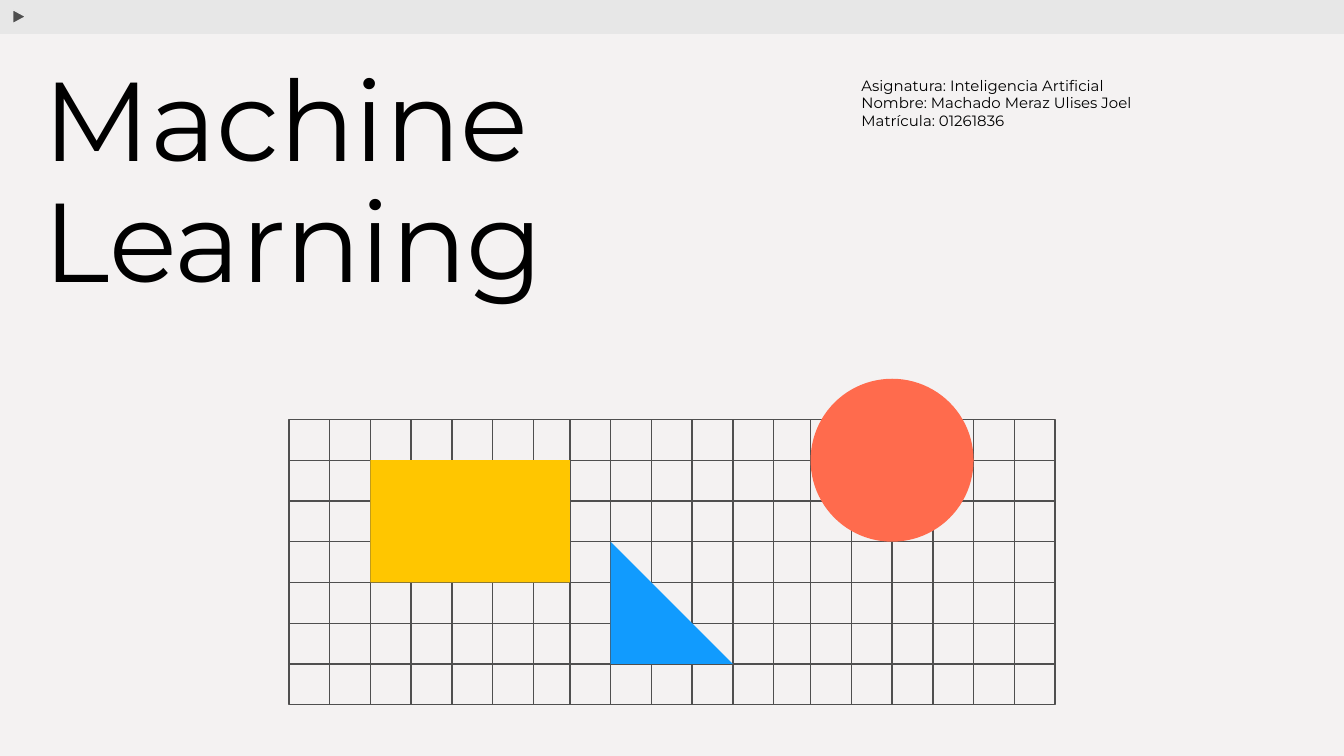
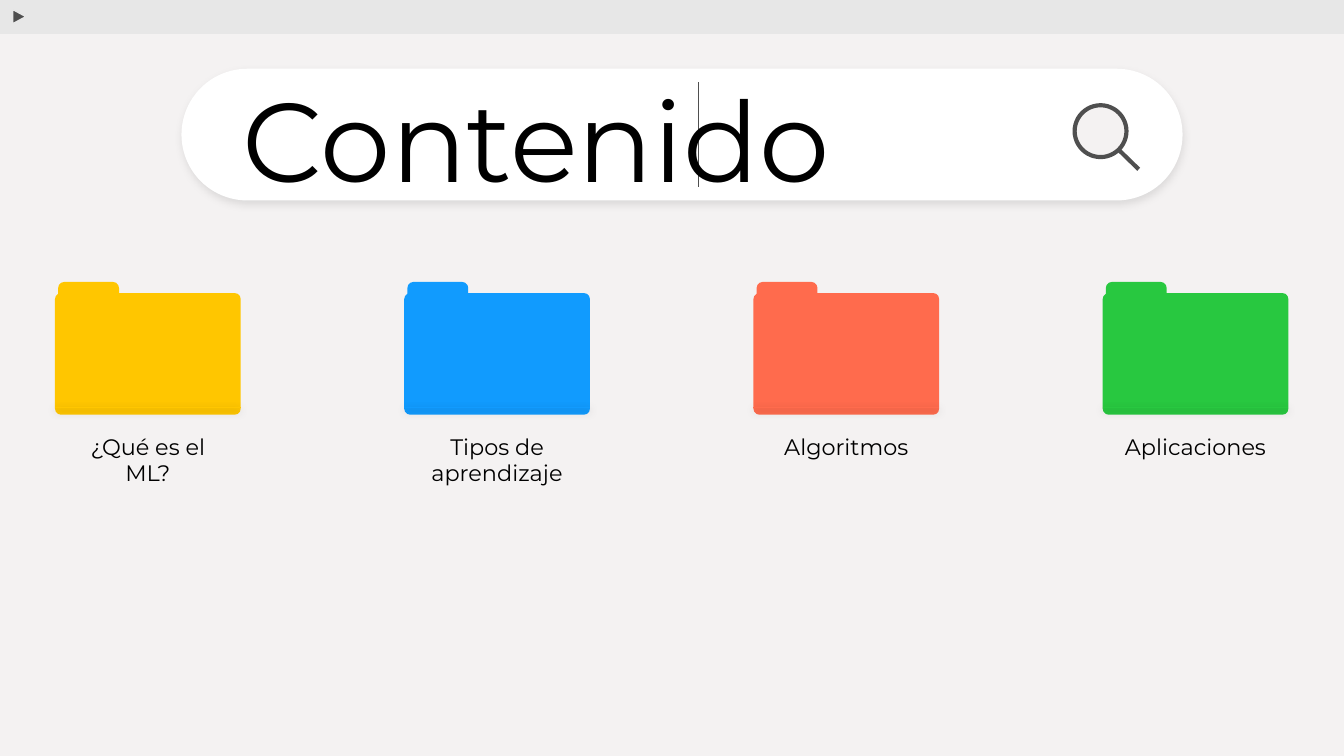
from dataclasses import dataclass
from typing import NamedTuple, Optional, Union

from lxml.etree import SubElement
from pptx import Presentation
from pptx.dml.color import RGBColor
from pptx.enum.shapes import MSO_CONNECTOR, MSO_SHAPE
from pptx.enum.text import MSO_ANCHOR, MSO_AUTO_SIZE, PP_ALIGN
from pptx.oxml.ns import qn
from pptx.shapes.autoshape import Shape
from pptx.shapes.base import BaseShape
from pptx.shapes.connector import Connector
from pptx.shapes.shapetree import GroupShapes, SlideShapes
from pptx.slide import Slide
from pptx.text.text import TextFrame
from pptx.util import Cm, Length, Pt

Canvas = Union[SlideShapes, GroupShapes]


@dataclass(frozen=True)
class Theme:
    font: str = "Montserrat"
    background: RGBColor = RGBColor(0xF4, 0xF2, 0xF2)
    band: RGBColor = RGBColor(0xE7, 0xE7, 0xE7)
    outline: RGBColor = RGBColor(0x4F, 0x4F, 0x4F)
    text: RGBColor = RGBColor(0, 0, 0)
    white: RGBColor = RGBColor(0xFF, 0xFF, 0xFF)
    yellow: RGBColor = RGBColor(0xFF, 0xC6, 0x00)
    blue: RGBColor = RGBColor(0x11, 0x9B, 0xFE)
    coral: RGBColor = RGBColor(0xFF, 0x6B, 0x4D)
    green: RGBColor = RGBColor(0x28, 0xC8, 0x40)
    title_size: Length = Pt(60)
    label_size: Length = Pt(12)
    details_size: Length = Pt(8)
    thin: Length = Pt(0.75)
    thick: Length = Pt(2.25)


THEME = Theme()
SLIDE_WIDTH, SLIDE_HEIGHT = 25.4, 14.29


class Box(NamedTuple):
    """Left, top, width and height in centimetres."""
    left: float
    top: float
    width: float
    height: float

    def lengths(self) -> tuple[Length, ...]:
        return tuple(Cm(value) for value in self)


class GridFigure(NamedTuple):
    """A figure that spans grid lines, counted from the top left corner."""
    kind: MSO_SHAPE
    color: RGBColor
    first_column: int
    first_row: int
    last_column: int
    last_row: int


@dataclass(frozen=True)
class Folder:
    label: str
    color: RGBColor
    label_height: float = 1.02


STEP = 0.77
GRID_TOP = 7.93
# The gap between two blocks of columns is narrower than a full step.
COLUMN_BLOCKS = ((5.46, 7), (10.77, 6), (15.32, 7))
COLUMNS = [start + STEP * i for start, count in COLUMN_BLOCKS for i in range(count)]
ROWS = [GRID_TOP + STEP * i for i in range(8)]

GRID_FIGURES = (
    GridFigure(MSO_SHAPE.RECTANGLE, THEME.yellow, 2, 1, 7, 4),
    GridFigure(MSO_SHAPE.OVAL, THEME.coral, 13, -1, 17, 3),
    GridFigure(MSO_SHAPE.RIGHT_TRIANGLE, THEME.blue, 8, 3, 11, 6),
)

FOLDERS = (
    Folder("¿Qué es el ML?", THEME.yellow),
    Folder("Tipos de aprendizaje", THEME.blue, 1.55),
    Folder("Algoritmos", THEME.coral),
    Folder("Aplicaciones", THEME.green),
)
FOLDER_LEFT, FOLDER_PITCH, FOLDER_WIDTH = 1.04, 6.6, 3.51


def draw_figure(canvas: Canvas, kind: MSO_SHAPE, box: Box,
                fill: Optional[RGBColor] = None, line: Optional[RGBColor] = None,
                weight: Length = THEME.thin) -> Shape:
    figure = canvas.add_shape(kind, *box.lengths())
    figure.shadow.inherit = False
    if fill is None:
        figure.fill.background()
    else:
        figure.fill.solid()
        figure.fill.fore_color.rgb = fill
    if line is None:
        figure.line.fill.background()
    else:
        figure.line.color.rgb = line
        figure.line.width = weight
    return figure


def draw_line(canvas: Canvas, start: tuple[float, float], end: tuple[float, float],
              color: RGBColor = THEME.outline, weight: Length = THEME.thin) -> Connector:
    ends = (Cm(value) for value in start + end)
    line = canvas.add_connector(MSO_CONNECTOR.STRAIGHT, *ends)
    line.line.color.rgb = color
    line.line.width = weight
    SubElement(line.element.spPr, qn("a:effectLst"))
    return line


def cast_shadow(target: BaseShape, opacity: int) -> None:
    """Add a soft black shadow below; opacity is in percent."""
    effects = target.element.spPr.find(qn("a:effectLst"))
    shadow = SubElement(effects, qn("a:outerShdw"), blurRad=str(Pt(4.5)),
                        dist=str(Pt(1.5)), dir="5400000", algn="bl", rotWithShape="0")
    black = SubElement(shadow, qn("a:srgbClr"), val="000000")
    SubElement(black, qn("a:alpha"), val=str(opacity * 1000))


def write_text(frame: TextFrame, lines: tuple[str, ...], size: Length,
               align: PP_ALIGN = PP_ALIGN.LEFT, spacing: float = 1.0,
               auto_size: MSO_AUTO_SIZE = MSO_AUTO_SIZE.NONE) -> None:
    frame.text = "\n".join(lines)
    frame.word_wrap = True
    frame.auto_size = auto_size
    frame.vertical_anchor = MSO_ANCHOR.TOP
    frame.margin_left = frame.margin_right = Cm(0.25)
    frame.margin_top = frame.margin_bottom = Cm(0.25)
    for paragraph in frame.paragraphs:
        paragraph.alignment = align
        paragraph.line_spacing = spacing
        paragraph.space_before = Pt(0)
        paragraph.font.name = THEME.font
        paragraph.font.size = size
        paragraph.font.color.rgb = THEME.text


def place_title(slide: Slide, box: Box, *lines: str,
                auto_size: MSO_AUTO_SIZE = MSO_AUTO_SIZE.NONE) -> None:
    """Format the title and bring it in front of what is already drawn."""
    title = slide.shapes.title
    title.left, title.top, title.width, title.height = box.lengths()
    write_text(title.text_frame, lines, THEME.title_size, spacing=0.9, auto_size=auto_size)
    title.element.getparent().append(title.element)


def start_slide(deck: Presentation) -> Slide:
    """Add a title-only slide with the window band and its play mark."""
    slide = deck.slides.add_slide(deck.slide_layouts[5])
    draw_figure(slide.shapes, MSO_SHAPE.RECTANGLE, Box(0, 0, SLIDE_WIDTH, 0.64), THEME.band)
    play = draw_figure(slide.shapes, MSO_SHAPE.ISOSCELES_TRIANGLE,
                       Box(0.23, 0.19, 0.27, 0.25), THEME.outline, THEME.band)
    play.rotation = 90
    return slide


def draw_grid(slide: Slide) -> None:
    grid = slide.shapes.add_group_shape().shapes
    left, right, top, bottom = COLUMNS[0], COLUMNS[-1], ROWS[0], ROWS[-1]
    draw_figure(grid, MSO_SHAPE.RECTANGLE, Box(left, top, right - left, bottom - top),
                line=THEME.outline)
    for x in COLUMNS[1:-1]:
        draw_line(grid, (x, top), (x, bottom))
    for y in ROWS[1:-1]:
        draw_line(grid, (left, y), (right, y))


def draw_grid_figure(slide: Slide, figure: GridFigure) -> None:
    left = COLUMNS[figure.first_column]
    box = Box(left, GRID_TOP + STEP * figure.first_row,
              COLUMNS[figure.last_column] - left,
              STEP * (figure.last_row - figure.first_row))
    draw_figure(slide.shapes, figure.kind, box, figure.color)


def draw_search_bar(slide: Slide) -> None:
    bar = draw_figure(slide.shapes, MSO_SHAPE.ROUNDED_RECTANGLE,
                      Box(3.43, 1.3, 18.92, 2.49), THEME.white)
    bar.adjustments[0] = 0.5
    cast_shadow(bar, 10)
    magnifier = slide.shapes.add_group_shape().shapes
    draw_figure(magnifier, MSO_SHAPE.OVAL, Box(20.31, 1.99, 0.98, 0.98),
                THEME.background, THEME.outline, THEME.thick)
    draw_line(magnifier, (21.13, 2.82), (21.52, 3.2), weight=THEME.thick)
    draw_line(slide.shapes, (13.2, 3.53), (13.2, 1.55))


def draw_folder(slide: Slide, folder: Folder, left: float) -> None:
    parts = slide.shapes.add_group_shape().shapes
    tab = draw_figure(parts, MSO_SHAPE.ROUND_2_SAME_RECTANGLE,
                      Box(left + 0.06, 5.33, 1.15, 0.23), folder.color)
    tab.adjustments[0] = 0.5
    tab.adjustments[1] = 0
    body = draw_figure(parts, MSO_SHAPE.ROUNDED_RECTANGLE,
                       Box(left, 5.54, FOLDER_WIDTH, 2.3), folder.color)
    body.adjustments[0] = 0.05
    fold = draw_line(parts, (left, 7.7), (left + FOLDER_WIDTH, 7.7), folder.color)
    cast_shadow(fold, 30)
    label = slide.shapes.add_textbox(
        *Box(left, 7.93, FOLDER_WIDTH, folder.label_height).lengths())
    write_text(label.text_frame, (folder.label,), THEME.label_size, PP_ALIGN.CENTER,
               auto_size=MSO_AUTO_SIZE.SHAPE_TO_FIT_TEXT)


def build_cover(deck: Presentation) -> None:
    slide = start_slide(deck)
    details = slide.shapes.add_textbox(*Box(16.03, 1.19, 8.99, 2.06).lengths())
    write_text(details.text_frame, (
        "Asignatura: Inteligencia Artificial",
        "Nombre: Machado Meraz Ulises Joel",
        "Matrícula: 01261836",
    ), THEME.details_size)
    place_title(slide, Box(0.58, 0.97, 14.83, 5.56), "Machine", "Learning")
    draw_grid(slide)
    for figure in GRID_FIGURES:
        draw_grid_figure(slide, figure)


def build_contents(deck: Presentation) -> None:
    slide = start_slide(deck)
    draw_search_bar(slide)
    place_title(slide, Box(4.34, 1.37, 13.79, 2.36), "Contenido",
                auto_size=MSO_AUTO_SIZE.SHAPE_TO_FIT_TEXT)
    for position, folder in enumerate(FOLDERS):
        draw_folder(slide, folder, FOLDER_LEFT + FOLDER_PITCH * position)


def main() -> None:
    deck = Presentation()
    deck.slide_width, deck.slide_height = Cm(SLIDE_WIDTH), Cm(SLIDE_HEIGHT)
    backdrop = deck.slide_master.background.fill
    backdrop.solid()
    backdrop.fore_color.rgb = THEME.background
    build_cover(deck)
    build_contents(deck)
    deck.save("out.pptx")


if __name__ == "__main__":
    main()
